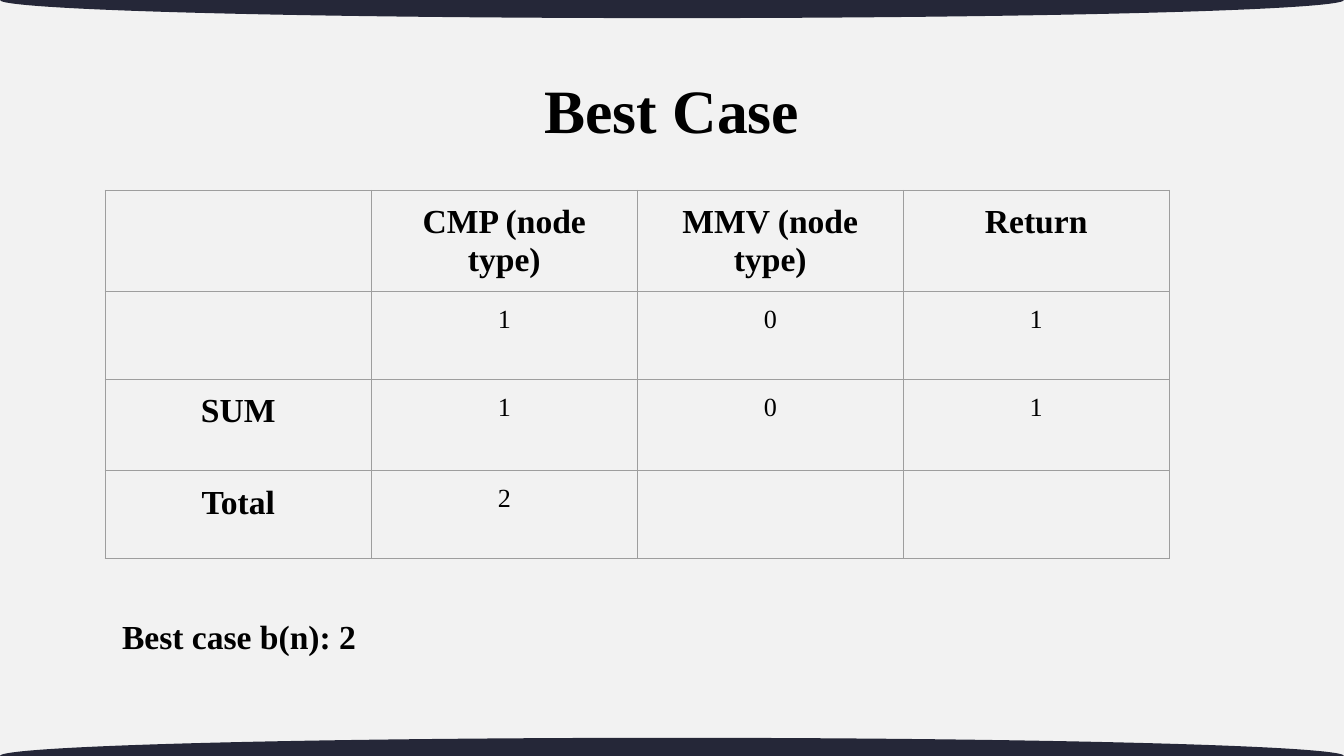
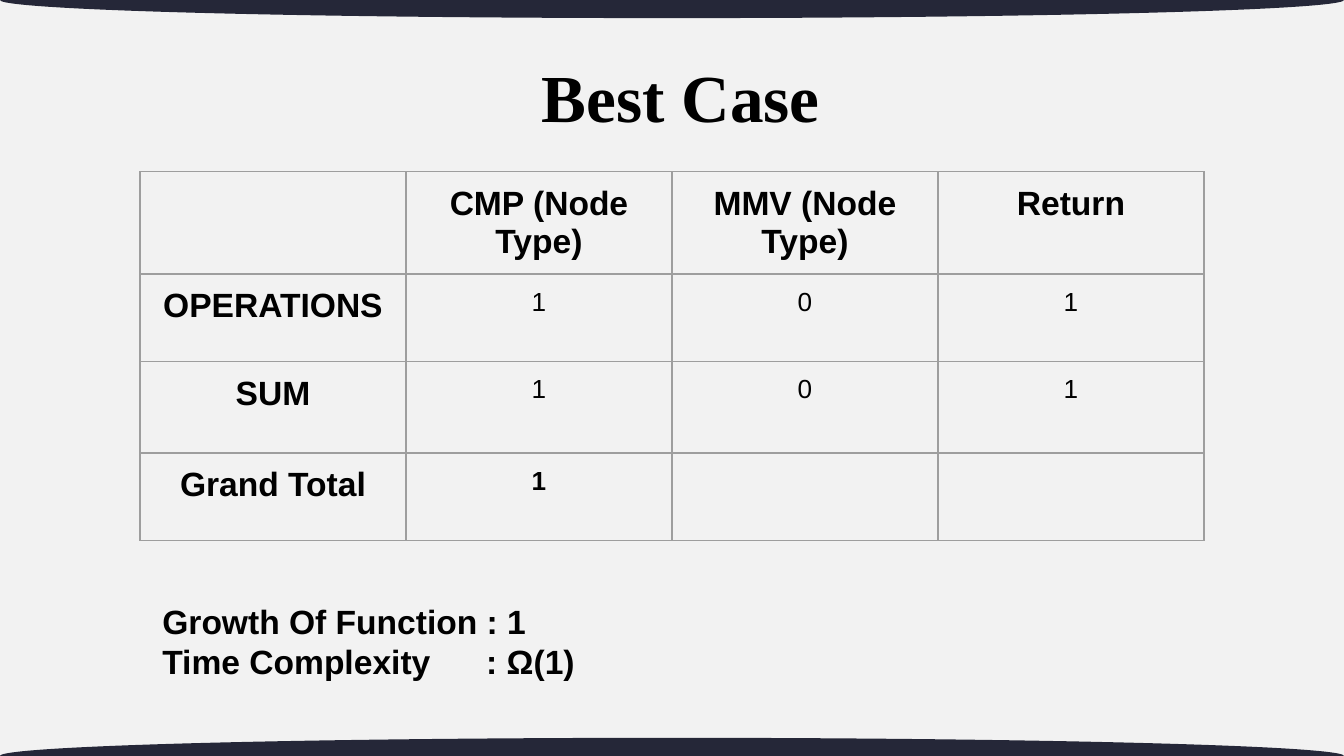
from lxml import etree
from pptx import Presentation
from pptx.dml.color import RGBColor
from pptx.enum.shapes import MSO_SHAPE
from pptx.enum.text import MSO_ANCHOR, MSO_AUTO_SIZE, PP_ALIGN
from pptx.oxml.ns import qn
from pptx.util import Pt

ELLIPSE = MSO_SHAPE.OVAL
MIDDLE = MSO_ANCHOR.MIDDLE
TOP = MSO_ANCHOR.TOP
NO_FIT = MSO_AUTO_SIZE.NONE
CENTER = PP_ALIGN.CENTER
LEFT = PP_ALIGN.LEFT

SLIDE_W, SLIDE_H = 720, 405
BAND_H = 19.4
BACKGROUND, BAND, TEXT, GRID = "F2F2F2", "252738", "000000", "9E9E9E"
SERIF, SANS = "Times New Roman", "Arial"
LABEL_SIZE, VALUE_SIZE = 18, 14
COL_W = 142.5
ROW_HEIGHTS = [49, 47, 49, 47]
COLON_TAB = 173.5


def color(value):
    return RGBColor.from_string(value)


def place(s, left, top, width, height):
    s.left, s.top, s.width, s.height = Pt(left), Pt(top), Pt(width), Pt(height)


def set_margins(box, margin):
    box.margin_left = box.margin_right = Pt(margin)
    box.margin_top = box.margin_bottom = Pt(margin)


def add_text(p, text, font, size, bold=True, align=LEFT):
    p.alignment = align
    r = p.add_run()
    r.text = text
    r.font.name = font
    r.font.size = Pt(size)
    r.font.bold = bold
    r.font.color.rgb = color(TEXT)


def add_master_bands(prs, slide):
    master = prs.slide_master
    fill = master.background.fill
    fill.solid()
    fill.fore_color.rgb = color(BACKGROUND)
    for i, edge in enumerate((0, SLIDE_H)):
        s = slide.shapes.add_shape(ELLIPSE, 0, Pt(edge - BAND_H / 2), Pt(SLIDE_W), Pt(BAND_H))
        s.shadow.inherit = False
        s.fill.solid()
        s.fill.fore_color.rgb = color(BAND)
        s.line.fill.background()
        s.element.nvSpPr.cNvPr.set("id", str(101 + i))
        master.shapes.element.insert(2 + i, s.element)


def add_title(slide, text, size, box):
    s = slide.shapes.title
    place(s, *box)
    tf = s.text_frame
    tf.word_wrap = True
    tf.auto_size = NO_FIT
    tf.vertical_anchor = MIDDLE
    set_margins(tf, 5)
    p = tf.paragraphs[0]
    p.line_spacing = 0.9
    add_text(p, text, SERIF, size, align=CENTER)


def add_borders(cell):
    tc_pr = cell._tc.get_or_add_tcPr()
    for side in ("lnL", "lnR", "lnT", "lnB"):
        ln = etree.SubElement(tc_pr, qn(f"a:{side}"), w=str(Pt(0.75)))
        fill = etree.SubElement(ln, qn("a:solidFill"))
        etree.SubElement(fill, qn("a:srgbClr"), val=GRID)


def add_count_table(slide, left, top, rows, font, bold_total=False):
    n_rows, n_cols = len(rows), len(rows[0])
    frame = slide.shapes.add_table(n_rows, n_cols, Pt(left), Pt(top),
                                   Pt(COL_W * n_cols), Pt(sum(ROW_HEIGHTS)))
    table = frame.table
    table.first_row = table.horz_banding = False
    for col in table.columns:
        col.width = Pt(COL_W)
    for i, row in enumerate(rows):
        table.rows[i].height = Pt(ROW_HEIGHTS[i])
        for j, text in enumerate(row):
            cell = table.cell(i, j)
            add_borders(cell)
            cell.fill.background()
            cell.vertical_anchor = TOP
            set_margins(cell, 7.2)
            if text:
                label = i == 0 or j == 0
                bold = label or (bold_total and i == n_rows - 1)
                size = LABEL_SIZE if label else VALUE_SIZE
                add_text(cell.text_frame.paragraphs[0], text, font, size, bold, CENTER)


def add_result(slide, lines, font, box):
    s = slide.shapes.add_textbox(*map(Pt, box))
    tf = s.text_frame
    tf.word_wrap = True
    set_margins(tf, 7.2)
    for i, line in enumerate(lines):
        p = tf.paragraphs[0] if i == 0 else tf.add_paragraph()
        if "\t" in line:
            tabs = etree.SubElement(p._p.get_or_add_pPr(), qn("a:tabLst"))
            etree.SubElement(tabs, qn("a:tab"), pos=str(Pt(COLON_TAB)), algn="l")
        add_text(p, line, font, LABEL_SIZE)


def main():
    prs = Presentation()
    prs.slide_width, prs.slide_height = Pt(SLIDE_W), Pt(SLIDE_H)
    layout = prs.slide_layouts[5]

    slide = prs.slides.add_slide(layout)
    add_master_bands(prs, slide)
    add_title(slide, "Best Case", 33, (49.7, 21.6, 620.6, 78.5))
    add_count_table(slide, 56.4, 102, [
        ["", "CMP (node type)", "MMV (node type)", "Return"],
        ["", "1", "0", "1"],
        ["SUM", "1", "0", "1"],
        ["Total", "2", "", ""],
    ], SERIF)
    add_result(slide, ["Best case b(n): 2"], SERIF, (58.3, 322.6, 570, 37.4))

    slide = prs.slides.add_slide(layout)
    add_title(slide, "Best Case", 36, (61.2, 25.9, 607, 56.2))
    add_count_table(slide, 75, 92, [
        ["", "CMP (Node Type)", "MMV (Node Type)", "Return"],
        ["OPERATIONS", "1", "0", "1"],
        ["SUM", "1", "0", "1"],
        ["Grand Total", "1", "", ""],
    ], SANS, bold_total=True)
    add_result(slide, ["Growth Of Function : 1", "Time Complexity\t: Ω(1)"],
               SANS, (79.9, 314.6, 570, 64))

    prs.save("out.pptx")


if __name__ == "__main__":
    main()
